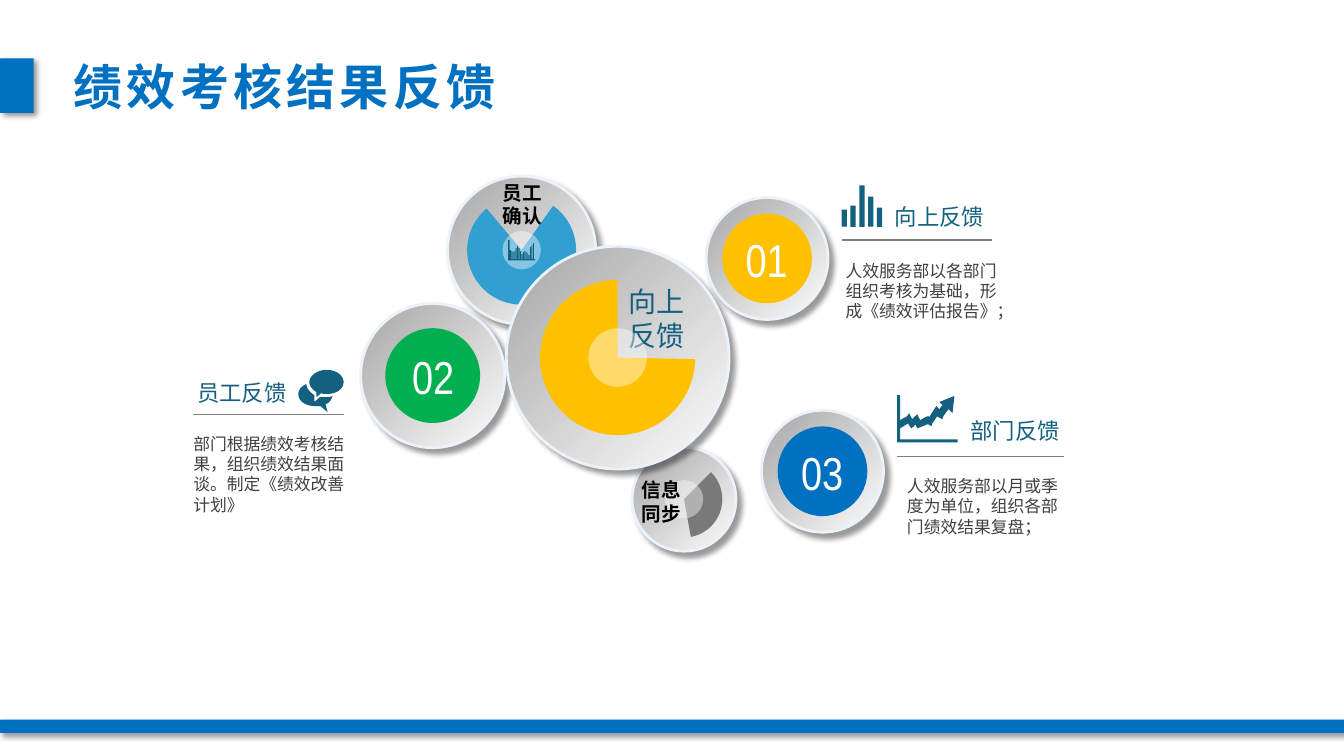
from dataclasses import dataclass

from lxml.etree import SubElement
from pptx import Presentation
from pptx.dml.color import RGBColor
from pptx.enum.shapes import MSO_CONNECTOR, MSO_SHAPE
from pptx.enum.text import MSO_AUTO_SIZE, PP_ALIGN
from pptx.oxml.ns import qn
from pptx.shapes.autoshape import Shape
from pptx.slide import Slide
from pptx.util import Pt

BLUE, TEAL, GOLD, WHITE, BLACK = "0070C0", "136080", "FFC000", "FFFFFF", "000000"
CJK = "Noto Sans CJK SC"
Box = tuple[float, float, float, float]
Point = tuple[float, ...]


@dataclass(frozen=True)
class Label:
    lines: tuple[str, ...]
    box: Box
    size: float
    color: str
    font: str = CJK
    bold: bool = False
    wrap: bool = False
    tracking: int = 0
    centered: bool = False


@dataclass(frozen=True)
class Dial:
    center: tuple[float, float]
    rim: float
    core: float
    color: str
    label: Label
    pie: tuple[float, float] | None = None
    turn: float = 0
    hub: float = 0
    label_on_top: bool = False


@dataclass(frozen=True)
class Topic:
    heading: str
    heading_box: Box
    rule: tuple[float, float, float]
    note: str
    note_box: Box


def rgb(value: str) -> RGBColor:
    return RGBColor.from_string(value)


def add_shadow(shape: Shape, distance: float) -> None:
    effects = shape.element.spPr.find(qn("a:effectLst"))
    shadow = SubElement(effects, qn("a:outerShdw"), blurRad=str(Pt(4)),
                        dist=str(Pt(distance)), dir="2700000", algn="tl", rotWithShape="0")
    color = SubElement(shadow, qn("a:srgbClr"), val=BLACK)
    SubElement(color, qn("a:alpha"), val="40000")


def paint(shape: Shape, color: str) -> Shape:
    shape.shadow.inherit = False
    shape.fill.solid()
    shape.fill.fore_color.rgb = rgb(color)
    shape.line.fill.background()
    return shape


def add_solid(slide: Slide, kind: MSO_SHAPE, box: Box, color: str) -> Shape:
    return paint(slide.shapes.add_shape(kind, *map(Pt, box)), color)


def around(center: tuple[float, float], diameter: float) -> Box:
    return center[0] - diameter / 2, center[1] - diameter / 2, diameter, diameter


def add_label(slide: Slide, label: Label) -> None:
    frame = slide.shapes.add_textbox(*map(Pt, label.box)).text_frame
    frame.word_wrap = label.wrap
    frame.auto_size = MSO_AUTO_SIZE.SHAPE_TO_FIT_TEXT
    for index, line in enumerate(label.lines):
        paragraph = frame.add_paragraph() if index else frame.paragraphs[0]
        paragraph.alignment = PP_ALIGN.CENTER if label.centered else PP_ALIGN.LEFT
        if label.font == CJK:
            paragraph.line_spacing = Pt(round(label.size * 1.21, 1))
        run = paragraph.add_run()
        run.text = line
        run.font.size = Pt(label.size)
        run.font.bold = label.bold
        run.font.name = label.font
        run.font.color.rgb = rgb(label.color)
        properties = run.font._element
        SubElement(properties, qn("a:ea"), typeface=label.font)
        if label.tracking:
            properties.set("spc", str(label.tracking * 100))


def add_dial(slide: Slide, dial: Dial) -> None:
    rim = add_solid(slide, MSO_SHAPE.OVAL, around(dial.center, dial.rim), WHITE)
    rim.fill.gradient()
    rim.fill.gradient_angle = 135
    for stop, position, color in zip(rim.fill.gradient_stops, (0, 1), ("FDFDFD", "A6A6A6")):
        stop.position = position
        stop.color.rgb = rgb(color)
    rim.line.color.rgb = rgb("EAF3FB")
    rim.line.width = Pt(2)
    add_shadow(rim, 5)
    kind = MSO_SHAPE.PIE if dial.pie else MSO_SHAPE.OVAL
    core = add_solid(slide, kind, around(dial.center, dial.core), dial.color)
    if dial.pie:
        core.adjustments[0], core.adjustments[1] = dial.pie
        core.rotation = dial.turn
    if not dial.label_on_top:
        add_label(slide, dial.label)
    if dial.hub:
        hub = add_solid(slide, MSO_SHAPE.OVAL, around(dial.center, dial.hub), WHITE)
        tint = hub.element.spPr.find(qn("a:solidFill")).find(qn("a:srgbClr"))
        SubElement(tint, qn("a:alpha"), val="41000")
    if dial.label_on_top:
        add_label(slide, dial.label)


def add_topic(slide: Slide, topic: Topic) -> None:
    left, right, y = topic.rule
    rule = slide.shapes.add_connector(MSO_CONNECTOR.STRAIGHT, Pt(left), Pt(y), Pt(right), Pt(y))
    rule.line.color.rgb = rgb("808080")
    rule.line.width = Pt(1)
    SubElement(rule.element.spPr, qn("a:effectLst"))
    add_label(slide, Label((topic.note,), topic.note_box, 12, "404040", wrap=True))
    add_label(slide, Label((topic.heading,), topic.heading_box, 16, TEAL, wrap=True))


def flatten(outline: list[Point], steps: int = 8) -> list[Point]:
    points = [outline[0]]
    for segment in outline[1:]:
        if len(segment) == 2:
            points.append(segment)
            continue
        nodes = [points[-1], segment[:2], segment[2:4], segment[4:]]
        for step in range(1, steps + 1):
            t = step / steps
            weights = ((1 - t) ** 3, 3 * t * (1 - t) ** 2, 3 * t * t * (1 - t), t ** 3)
            points.append(tuple(sum(w * n[axis] for w, n in zip(weights, nodes)) for axis in (0, 1)))
    return points


def add_outline(slide: Slide, origin: tuple[float, float], outline: list[Point]) -> None:
    points = [(Pt(origin[0] + x), Pt(origin[1] + y)) for x, y in flatten(outline)]
    builder = slide.shapes.build_freeform(*points[0], scale=1.0)
    builder.add_line_segments(points[1:], close=True)
    paint(builder.convert_to_shape(), TEAL)


def number(text: str, box: Box) -> Label:
    return Label((text,), box, 33, WHITE, "Arial Narrow")


DIALS = [
    Dial((488.6, 356.6), 74.2, 54.7, "797979",
         Label(("信息", "同步"), (451.4, 337.7, 42.5, 41), 14, BLACK, bold=True),
         (0, 74.82), 315, 27.4, True),
    Dial((309.1, 268.3), 103, 67.7, "00B050", number("02", (287.3, 245.5, 49, 47.5))),
    Dial((547.9, 184.6), 87.1, 64.1, GOLD, number("01", (525.6, 162, 45.4, 47.5))),
    Dial((587.5, 336.6), 87.1, 64.1, BLUE, number("03", (565.2, 313.9, 50.4, 47.5))),
    Dial((372.6, 178.7), 105.8, 77.8, "329FD1",
         Label(("员工", "确认"), (352.1, 125.3, 42.5, 41), 14, BLACK, bold=True),
         (207.21, 162), 320, 27.4),
    Dial((441.2, 255.4), 159.1, 110.9, GOLD,
         Label(("向上", "反馈"), (442.1, 199.4, 54.7, 55.4), 20, TEAL), (0.73, 162), 0, 41.8),
]
TOPICS = [
    Topic("向上反馈", (632.2, 141.1, 98.6, 26.6), (601.2, 708.5, 171.4),
          "人效服务部以各部门组织考核为基础，形成《绩效评估报告》；", (596.9, 182.2, 126.7, 51.1)),
    Topic("部门反馈", (686.2, 294.5, 132.5, 26.6), (640.8, 760.3, 326.2),
          "人效服务部以月或季度为单位，组织各部门绩效结果复盘；", (640.8, 336.2, 126.7, 51.1)),
    Topic("员工反馈", (133.9, 267.1, 132.5, 26.6), (138.2, 245.5, 295.9),
          "部门根据绩效考核结果，组织绩效结果面谈。制定《绩效改善计划》", (131, 306, 122.4, 65.5)),
]
BAR_HEIGHTS = [12.2, 15.1, 29.5, 21.6, 13.7]
MINI_TOPS = [7.2, 7.9, 8.6, 7.9, 5.8, 4.3, 5.8, 7.9, 10.1, 8.6, 7.9, 8.6, 9.4, 10.8, 5, 3.6, 2.2]
MINI_CHART = [(0, 0), (1.2, 0), (1.2, 13.7)] + [
    (1.4 + 1.03 * index + dx, y)
    for index, top in enumerate(MINI_TOPS)
    for dx, y in ((0, 13.7), (0, top), (0.65, top), (0.65, 13.7))
] + [(19.4, 13.7), (19.4, 14.6), (0, 14.6)]
TREND = [
    (2.2, 31.7), (43.2, 31.7), (43.2, 33.8), (0, 33.8), (0, 0), (2.2, 0), (2.2, 18), (7.2, 15.1),
    (8.6, 13), (10.1, 15.8), (10.8, 17.3), (12.2, 15.8), (14.4, 13.7), (15.8, 16.6), (16.6, 18),
    (20.2, 15.8), (22.3, 15.1), (23, 15.8), (26.6, 10.1), (28.1, 7.9), (29.5, 9.4), (30.2, 10.1),
    (32.4, 7.2), (30.2, 5), (35.3, 2.9), (41, 0.7), (40.3, 6.5), (39.6, 13), (36.7, 10.1),
    (33.1, 15.1), (32.4, 17.3), (29.5, 15.8), (28.8, 15.1), (25.2, 20.2), (24.5, 22.3),
    (22.3, 20.9), (21.6, 20.9), (16.6, 23), (14.4, 23.8), (13.7, 22.3), (13, 20.9), (12.2, 22.3),
    (10.1, 23.8), (8.6, 21.6), (7.9, 20.2), (2.2, 23.8),
]
BACK_BUBBLE = [
    (15.8, 19.4), (15.1, 19.4, 11.5, 23, 11.5, 23), (11.5, 18), (7.9, 15.8, 5.8, 13, 5.8, 10.1),
    (2.2, 11.5, 0, 14.4, 0, 17.3), (0, 22.3, 5, 25.9, 12.2, 25.9), (15.8, 25.9), (20.9, 30.2),
    (19.4, 24.5), (22.3, 23.8, 23.8, 20.9, 24.5, 18.7), (23, 19.4, 21.6, 19.4, 19.4, 19.4),
]
FRONT_BUBBLE = [
    (20.2, 0), (13.7, 0, 7.9, 4.3, 7.9, 8.6), (7.9, 11.5, 10.1, 14.4, 13, 15.8), (13, 19.4),
    (16.6, 16.6), (17.3, 17.3, 18.7, 17.3, 20.2, 17.3), (27.4, 17.3, 32.4, 13.7, 32.4, 8.6),
    (32.4, 4.3, 27.4, 0, 20.2, 0),
]
ICONS = [((362.9, 171.4), MINI_CHART), ((640.8, 282.2), TREND),
         ((213.1, 264.2), BACK_BUBBLE), ((213.1, 264.2), FRONT_BUBBLE)]


def main() -> None:
    deck = Presentation()
    deck.slide_width, deck.slide_height = Pt(960), Pt(540)
    slide = deck.slides.add_slide(deck.slide_layouts[6])
    for band in ((0, 41.8, 24, 38.9), (0, 514.1, 960, 9.4)):
        add_shadow(add_solid(slide, MSO_SHAPE.RECTANGLE, band, BLUE), 3)
    add_label(slide, Label(("绩效考核结果反馈",), (42.5, 36.7, 321.8, 49.7), 35, BLUE, "Lato",
                           bold=True, tracking=3, centered=True))
    for dial in DIALS:
        add_dial(slide, dial)
    for topic in TOPICS:
        add_topic(slide, topic)
    for index, height in enumerate(BAR_HEIGHTS):
        add_solid(slide, MSO_SHAPE.RECTANGLE, (601.2 + 6.3 * index, 162 - height, 3.8, height), TEAL)
    for origin, outline in ICONS:
        add_outline(slide, origin, outline)
    deck.save("out.pptx")


if __name__ == "__main__":
    main()
